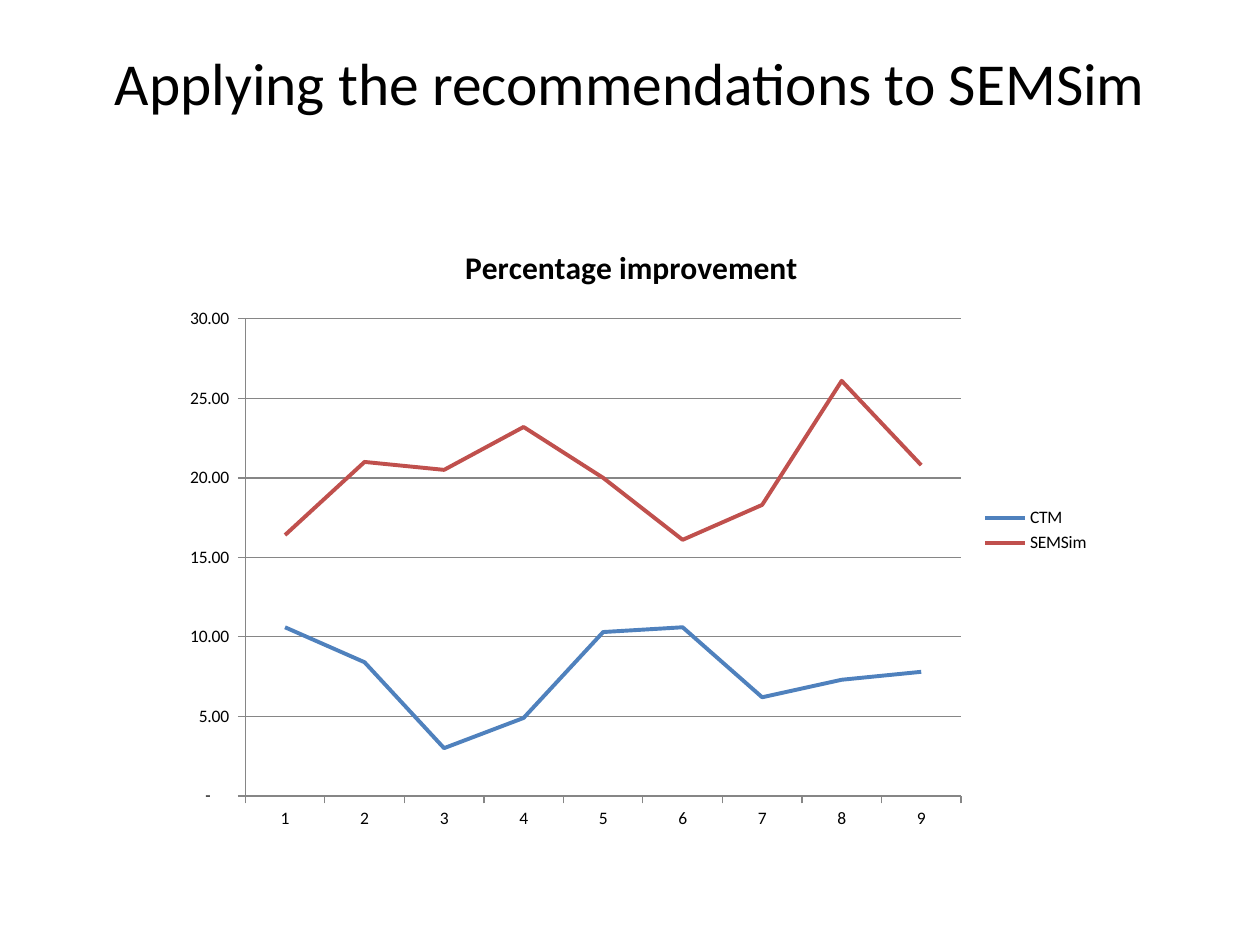
from pptx import Presentation
from pptx.chart.data import CategoryChartData
from pptx.dml.color import RGBColor
from pptx.enum.chart import XL_CHART_TYPE, XL_LEGEND_POSITION, XL_TICK_MARK
from pptx.enum.text import MSO_ANCHOR, PP_ALIGN
from pptx.util import Inches, Pt

LINE_CHART = XL_CHART_TYPE.LINE
LEGEND_RIGHT = XL_LEGEND_POSITION.RIGHT
TICK_OUTSIDE, TICK_NONE = XL_TICK_MARK.OUTSIDE, XL_TICK_MARK.NONE
MIDDLE, CENTER = MSO_ANCHOR.MIDDLE, PP_ALIGN.CENTER

BLACK = RGBColor(0x00, 0x00, 0x00)
GRAY = RGBColor(0x86, 0x86, 0x86)
BLUE = RGBColor(0x4F, 0x81, 0xBD)
RED = RGBColor(0xC0, 0x50, 0x4D)
FONT = "Calibri"

# Content
HEADING = "Applying the recommendations to SEMSim"
CHART_TITLE = "Percentage improvement "
RUNS = [str(number) for number in range(1, 10)]
IMPROVEMENTS = [
    ("CTM", BLUE, (10.6, 8.4, 3, 4.9, 10.3, 10.6, 6.2, 7.3, 7.8)),
    ("SEMSim", RED, (16.4, 21, 20.5, 23.2, 20, 16.1, 18.3, 26.1, 20.8)),
]
NUMBER_FORMAT = r'_(* #,##0.00_);_(* \(#,##0.00\);_(* "-"??_);_(@_)'


def style_font(font, size, bold=False):
    font.name = FONT
    font.size = Pt(size)
    font.bold = bold
    font.color.rgb = BLACK


def style_line(line, color, width):
    line.color.rgb = color
    line.width = Pt(width)


deck = Presentation()
deck.slide_width, deck.slide_height = Inches(10), Inches(7.5)
slide = deck.slides.add_slide(deck.slide_layouts[6])

# Heading
heading = slide.shapes.add_textbox(
    Inches(0.5), Inches(0.3), Inches(9), Inches(0.7)).text_frame
heading.word_wrap = True
heading.vertical_anchor = MIDDLE
heading.paragraphs[0].alignment = CENTER
heading_run = heading.paragraphs[0].add_run()
heading_run.text = HEADING
style_font(heading_run.font, 34)

# Improvement chart
improvement_data = CategoryChartData(number_format=NUMBER_FORMAT)
improvement_data.categories = RUNS
for name, _, values in IMPROVEMENTS:
    improvement_data.add_series(name, values)
chart = slide.shapes.add_chart(
    LINE_CHART, Inches(1.33), Inches(1.75), Inches(7.42), Inches(4.92),
    improvement_data).chart
style_font(chart.font, 10)

chart.has_title = True
title_run = chart.chart_title.text_frame.paragraphs[0].add_run()
title_run.text = CHART_TITLE
style_font(title_run.font, 18, bold=True)
chart.chart_title.include_in_layout = False

chart.has_legend = True
chart.legend.position = LEGEND_RIGHT
chart.legend.include_in_layout = False

# Axes and gridlines
for axis in (chart.category_axis, chart.value_axis):
    axis.major_tick_mark = TICK_OUTSIDE
    axis.minor_tick_mark = TICK_NONE
    style_line(axis.format.line, GRAY, 0.75)
percent_axis = chart.value_axis
percent_axis.minimum_scale, percent_axis.maximum_scale = 0, 30
percent_axis.major_unit = 5
percent_axis.tick_labels.number_format = NUMBER_FORMAT
percent_axis.tick_labels.number_format_is_linked = False
percent_axis.has_major_gridlines = True
style_line(percent_axis.major_gridlines.format.line, GRAY, 0.75)

# Series lines
chart.plots[0].vary_by_categories = False
for series, (_, color, _) in zip(chart.plots[0].series, IMPROVEMENTS):
    series.smooth = False
    style_line(series.format.line, color, 2.25)

deck.save("out.pptx")
